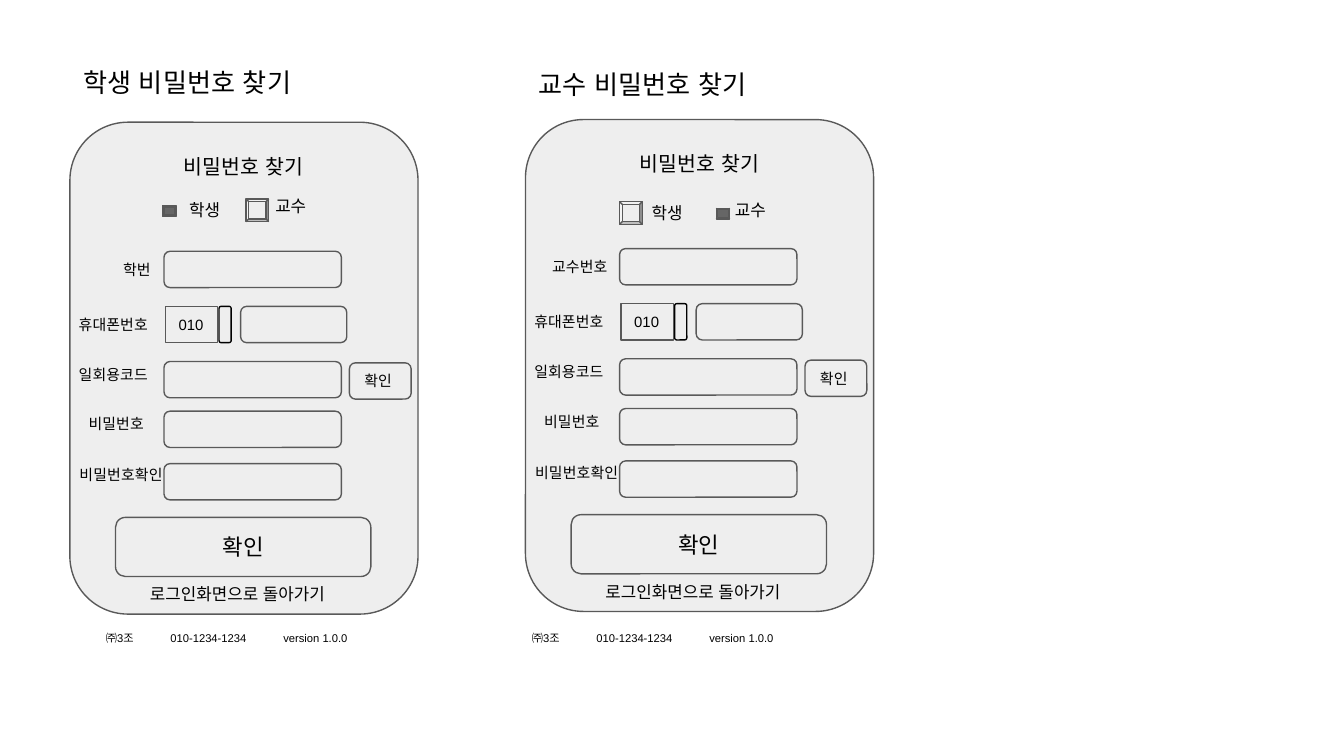
from lxml import etree
from pptx import Presentation
from pptx.dml.color import RGBColor
from pptx.enum.shapes import MSO_SHAPE
from pptx.enum.text import MSO_ANCHOR, MSO_AUTO_SIZE, PP_ALIGN
from pptx.oxml.ns import qn
from pptx.util import Inches, Pt

LEFT, CENTER, RIGHT = PP_ALIGN.LEFT, PP_ALIGN.CENTER, PP_ALIGN.RIGHT
TOP, MIDDLE = MSO_ANCHOR.TOP, MSO_ANCHOR.MIDDLE
GROW, FIXED = MSO_AUTO_SIZE.SHAPE_TO_FIT_TEXT, MSO_AUTO_SIZE.NONE
RECT, ROUND, BEVEL = MSO_SHAPE.RECTANGLE, MSO_SHAPE.ROUNDED_RECTANGLE, MSO_SHAPE.BEVEL

FONT = "Arial"
BLACK = RGBColor(0x00, 0x00, 0x00)
PANEL = RGBColor(0xEE, 0xEE, 0xEE)
OUTLINE = RGBColor(0x59, 0x59, 0x59)
SELECTED = RGBColor(0x66, 0x66, 0x66)
INSET = Inches(0.1)


def write(shape, text, size, align=LEFT, anchor=TOP, auto_size=GROW):
    """Put one line of formatted text into a shape and return its paragraph."""
    frame = shape.text_frame
    settings = {"word_wrap": True, "auto_size": auto_size, "vertical_anchor": anchor,
                "margin_left": INSET, "margin_right": INSET,
                "margin_top": INSET, "margin_bottom": INSET}
    for name, value in settings.items():
        setattr(frame, name, value)
    line = frame.paragraphs[0]
    line.alignment = align
    run = line.add_run()
    run.text = text
    for name, value in {"name": FONT, "size": Pt(size)}.items():
        setattr(run.font, name, value)
    run.font.color.rgb = BLACK
    # Korean text takes its font from the East Asian slot
    etree.SubElement(run._r.get_or_add_rPr(), qn("a:ea"), typeface=FONT)
    return line


def draw(shapes, kind, box, fill=PANEL, outline=OUTLINE):
    """Add an outlined preset shape; fill None leaves it open."""
    shape = shapes.add_shape(kind, *map(Inches, box))
    shape.shadow.inherit = False
    if fill is None:
        shape.fill.background()
    else:
        shape.fill.solid()
        shape.fill.fore_color.rgb = fill
    shape.line.color.rgb = outline
    shape.line.width = Pt(0.75)
    return shape


# Widescreen slide, 16:9
prs = Presentation()
prs.slide_width = Inches(10)
prs.slide_height = Inches(10) * 9 // 16
slide = prs.slides.add_slide(prs.slide_layouts[5])
shapes = slide.shapes

# Screen headings
student_heading = shapes.title
heading_box = [Inches(v) for v in (0.52, 0.39, 2.41, 0.44)]
for name, value in zip(("left", "top", "width", "height"), heading_box):
    setattr(student_heading, name, value)
write(student_heading, "학생 비밀번호 찾기", 14)
professor_heading = shapes.add_textbox(Inches(3.91), Inches(0.41), *heading_box[2:])
write(professor_heading, "교수 비밀번호 찾기", 14)

# Per screen: panel corner, ID label with its offset and width, footer left,
# role options as (label, label left, label top, label width, box, fill)
screens = [
    (0.52, 0.91, "학번", 0.08, 0.62, 0.69, [
        ("학생", 1.31, 1.41, 0.54, (1.21, 1.53, 0.1, 0.08), SELECTED),
        ("교수", 1.95, 1.38, 0.94, (1.83, 1.48, 0.17, 0.17), PANEL)]),
    (3.91, 0.89, "교수번호", 0, 0.71, 3.86, [
        ("학생", 4.75, 1.43, 0.54, (4.61, 1.5, 0.17, 0.17), PANEL),
        ("교수", 5.37, 1.41, 0.94, (5.33, 1.55, 0.1, 0.08), SELECTED)]),
]

for x, y, id_label, id_left, id_width, footer_left, roles in screens:
    # Panel and input fields
    draw(shapes, ROUND, (x, y, 2.59, 3.66))
    for field_top in (0.96, 1.78, 2.15, 2.54):
        draw(shapes, ROUND, (x + 0.7, y + field_top, 1.32, 0.27))

    # Phone number: prefix, drop-down handle, number
    prefix = draw(shapes, RECT, (x + 0.71, y + 1.37, 0.39, 0.27))
    write(prefix, "010", 8, LEFT, MIDDLE, FIXED)
    draw(shapes, ROUND, (x + 1.11, y + 1.37, 0.09, 0.27), None, BLACK)
    draw(shapes, ROUND, (x + 1.27, y + 1.37, 0.79, 0.27))

    # Buttons
    code_button = draw(shapes, ROUND, (x + 2.08, y + 1.79, 0.46, 0.27))
    write(code_button, "확인", 8, LEFT, MIDDLE, FIXED)
    submit_button = draw(shapes, ROUND, (x + 0.34, y + 2.94, 1.9, 0.44))
    write(submit_button, "확인", 12, CENTER, MIDDLE, FIXED)

    # Panel heading, field labels and back link
    labels = [
        ("비밀번호 찾기", 0.18, 0.14, 2.23, 0.39, 11, CENTER),
        (id_label, id_left, 0.96, id_width, 0.34, 8, RIGHT),
        ("휴대폰번호", -0.17, 1.37, 0.85, 0.34, 8, RIGHT),
        ("일회용코드", -0.17, 1.74, 0.85, 0.34, 8, RIGHT),
        ("비밀번호", -0.14, 2.11, 0.79, 0.34, 8, RIGHT),
        ("비밀번호확인", -0.27, 2.49, 1.06, 0.34, 8, RIGHT),
        ("로그인화면으로 돌아가기", 0.17, 3.36, 2.15, 0.35, 9, CENTER),
    ]
    for text, dx, dy, width, height, size, align in labels:
        label = shapes.add_textbox(*map(Inches, (x + dx, y + dy, width, height)))
        write(label, text, size, align)

    # Role options
    options = shapes.add_group_shape().shapes
    for text, left, top, width, box, fill in roles:
        role = options.add_textbox(*map(Inches, (left, top, width, 0.35)))
        write(role, text, 9)
        draw(options, BEVEL, box, fill)

    # Footer, spaced with tab stops
    footer = shapes.add_textbox(*map(Inches, (footer_left, 4.65, 2.6, 0.3)))
    line = write(footer, "㈜3조\t010-1234-1234\tversion 1.0.0", 6)
    tabs = etree.SubElement(line._p.get_or_add_pPr(), qn("a:tabLst"))
    for stop in (0.48, 1.32):
        etree.SubElement(tabs, qn("a:tab"), pos=str(Inches(stop)), algn="l")

prs.save("out.pptx")
